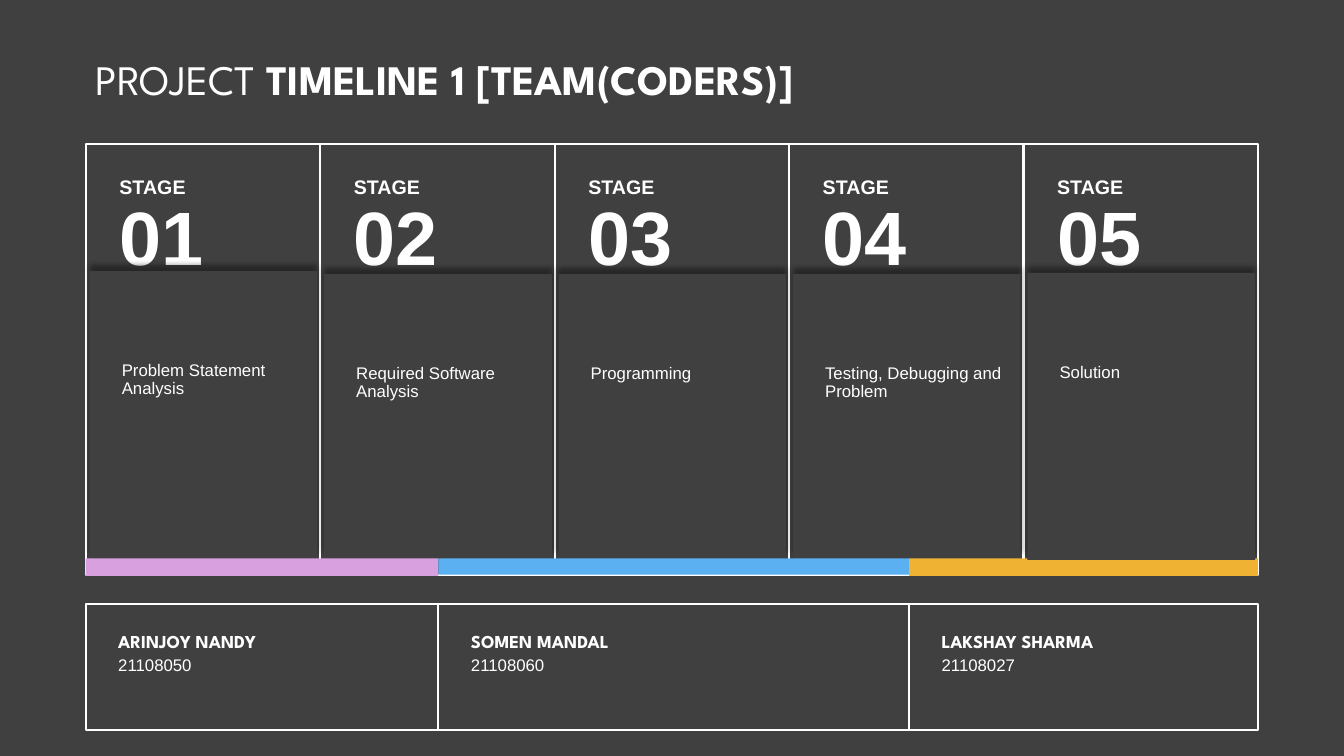
import lxml.etree
import pptx
import pptx.dml.color
import pptx.enum.shapes
import pptx.enum.text
import pptx.oxml.ns
import pptx.util
from dataclasses import dataclass

Cm, Pt = pptx.util.Cm, pptx.util.Pt
qn = pptx.oxml.ns.qn
RECT = pptx.enum.shapes.MSO_SHAPE.RECTANGLE
LINE = pptx.enum.shapes.MSO_CONNECTOR.STRAIGHT
ANCHOR = pptx.enum.text.MSO_ANCHOR


@dataclass(frozen=True)
class Theme:
    """Colours, fonts and type sizes (points)."""
    back: str = "404040"
    ink: str = "FFFFFF"
    pink: str = "D9A0DF"
    blue: str = "5AB0F1"
    orange: str = "EFB233"
    head_font: str = "League Spartan"
    body_font: str = "Arial"
    title: int = 30
    number: int = 54
    stage: int = 14
    name: int = 13
    body: int = 12
    rule: float = 1.5


T = Theme()
LEFT, WIDTH = 2.16, 29.54
TOP, HEIGHT = 3.63, 10.87
COLUMN = WIDTH / 5
INSETS = (0.25, 0.13, 0.25, 0.13)

# description, panel top, panel height
STAGES = [
    ("Problem Statement Analysis", 6.83, 7.23),
    ("Required Software Analysis", 6.91, 7.15),
    ("Programming", 6.91, 7.15),
    ("Testing, Debugging and Problem", 6.91, 7.15),
    ("Solution", 6.88, 7.23),
]
# name, number, box width, bar colour, bar height
MEMBERS = [
    ("ARINJOY NANDY", "21108050", 8.89, T.pink, 0.44),
    ("SOMEN MANDAL", "21108060", 11.86, T.blue, 0.41),
    ("LAKSHAY SHARMA", "21108027", 8.79, T.orange, 0.44),
]


def rgb(code):
    """Turn a hex code into a colour."""
    return pptx.dml.color.RGBColor.from_string(code)


def write(sp, *runs, size, font=T.body_font, bold=False, before=0,
          anchor=ANCHOR.TOP, insets=INSETS):
    """Write one paragraph; a run is a string or a (string, bold) pair."""
    tf = sp.text_frame
    tf.word_wrap = True
    tf.vertical_anchor = anchor
    (tf.margin_left, tf.margin_top,
     tf.margin_right, tf.margin_bottom) = map(Cm, insets)
    p = tf.paragraphs[0]
    p.alignment = pptx.enum.text.PP_ALIGN.LEFT
    p.line_spacing = 0.9
    p.space_before = Pt(before)
    for run in runs:
        text, strong = (run, bold) if isinstance(run, str) else run
        r = p.add_run()
        r.text = text
        r.font.name, r.font.size, r.font.bold = font, Pt(size), strong
        r.font.color.rgb = rgb(T.ink)


def add_text(s, x, y, w, h, *runs, **fmt):
    """Add a text box and write in it."""
    write(s.shapes.add_textbox(Cm(x), Cm(y), Cm(w), Cm(h)), *runs, **fmt)


def add_box(s, x, y, w, h, fill=None):
    """Add a filled rectangle, or an outlined one when there is no fill."""
    sp = s.shapes.add_shape(RECT, Cm(x), Cm(y), Cm(w), Cm(h))
    sp.shadow.inherit = False
    if fill:
        sp.fill.solid()
        sp.fill.fore_color.rgb = rgb(fill)
        sp.line.fill.background()
    else:
        sp.fill.background()
        sp.line.color.rgb = rgb(T.ink)
        sp.line.width = Pt(T.rule)
    return sp


def add_divider(s, x):
    """Add a vertical line between two stages."""
    ln = s.shapes.add_connector(LINE, Cm(x), Cm(TOP), Cm(x), Cm(TOP + HEIGHT))
    ln.line.color.rgb = rgb(T.ink)
    ln.line.width = Pt(T.rule)
    lxml.etree.SubElement(ln._element.spPr, qn("a:effectLst"))


def cast_shadow_up(sp):
    """Give a shape a soft shadow above its top edge."""
    effects = sp._element.spPr.find(qn("a:effectLst"))
    shadow = lxml.etree.SubElement(
        effects, qn("a:outerShdw"), blurRad=str(Pt(4)), dist=str(Pt(4)),
        dir="16200000", algn="b", rotWithShape="0")
    color = lxml.etree.SubElement(shadow, qn("a:srgbClr"), val="000000")
    lxml.etree.SubElement(color, qn("a:alpha"), val="40000")


def add_stage(s, index, text, top, height):
    """Add the label, number and description panel of one stage."""
    x = LEFT + index * COLUMN
    add_text(s, x + 0.6, 3.89, 3.99, 1.24, "STAGE", size=T.stage, bold=True,
             before=10, anchor=ANCHOR.BOTTOM)
    add_text(s, x + 0.6, 5.05, 3.99, 1.83, f"{index + 1:02}", size=T.number,
             bold=True, insets=(0.25, 0, 0.25, 0))
    panel = add_box(s, x + 0.1, top, 5.74, height, T.back)
    cast_shadow_up(panel)
    write(panel, text, size=T.body, before=10, insets=(0.81, 2.29, 0.25, 0.13))


def add_member(s, x, width, name, number):
    """Add the name and number of one team member."""
    add_text(s, x + 0.57, 15.82, width - 0.9, 0.6, name, size=T.name,
             font=T.head_font, bold=True, before=10)
    add_text(s, x + 0.57, 16.43, width - 0.9, 1.52, number, size=T.body,
             before=10)


def main():
    """Build the timeline slide."""
    prs = pptx.Presentation()
    prs.slide_width, prs.slide_height = Cm(33.87), Cm(19.05)
    s = prs.slides.add_slide(prs.slide_layouts[6])
    s.background.fill.solid()
    s.background.fill.fore_color.rgb = rgb(T.back)

    add_box(s, LEFT, TOP, WIDTH, HEIGHT)
    for i in range(1, len(STAGES)):
        add_divider(s, LEFT + i * COLUMN)

    x = LEFT
    for name, number, width, color, bar_height in MEMBERS:
        add_box(s, x, 15.21, width, 3.18)
        add_box(s, x, 14.07, width, bar_height, color)
        add_member(s, x, width, name, number)
        x += width

    add_text(s, LEFT, 0.79, WIDTH, 2.54, "PROJECT",
             (" TIMELINE 1 [TEAM(CODERS)]", True), size=T.title,
             font=T.head_font, anchor=ANCHOR.MIDDLE)
    for i, stage in enumerate(STAGES):
        add_stage(s, i, *stage)

    prs.save("out.pptx")


main()
